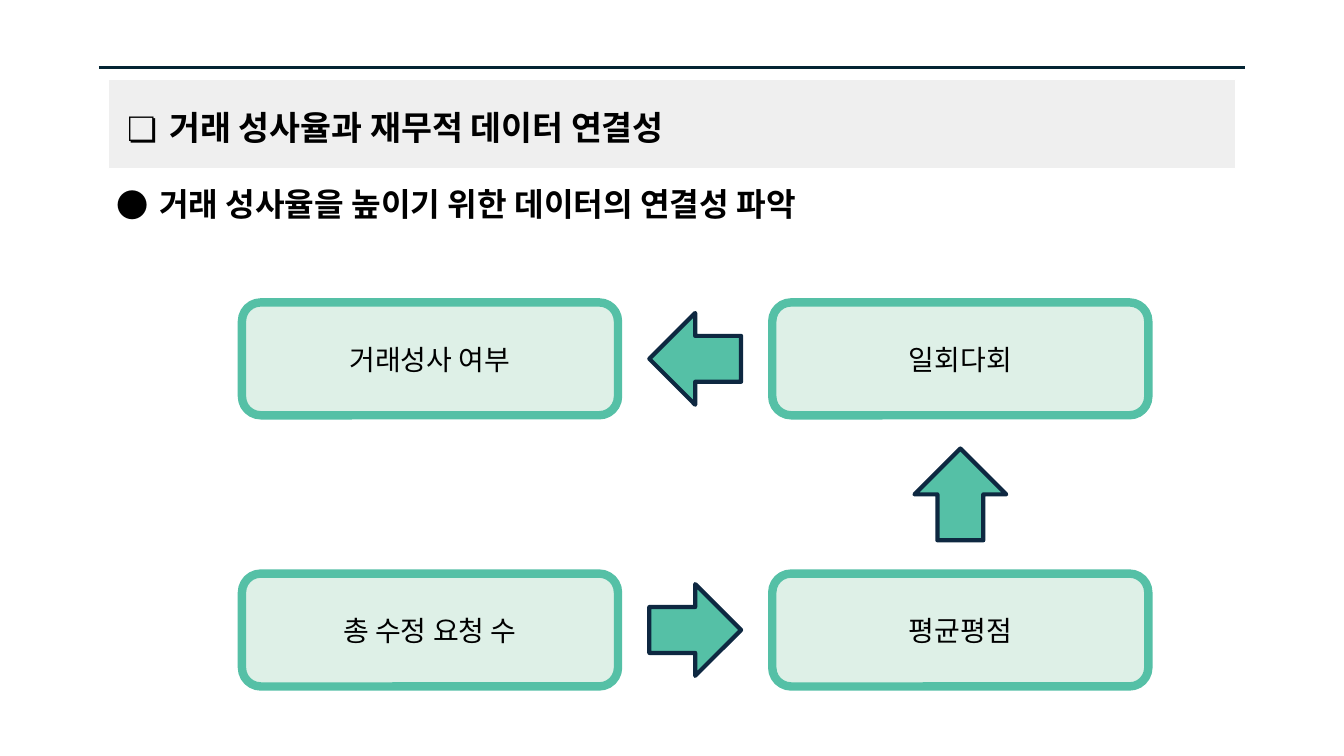
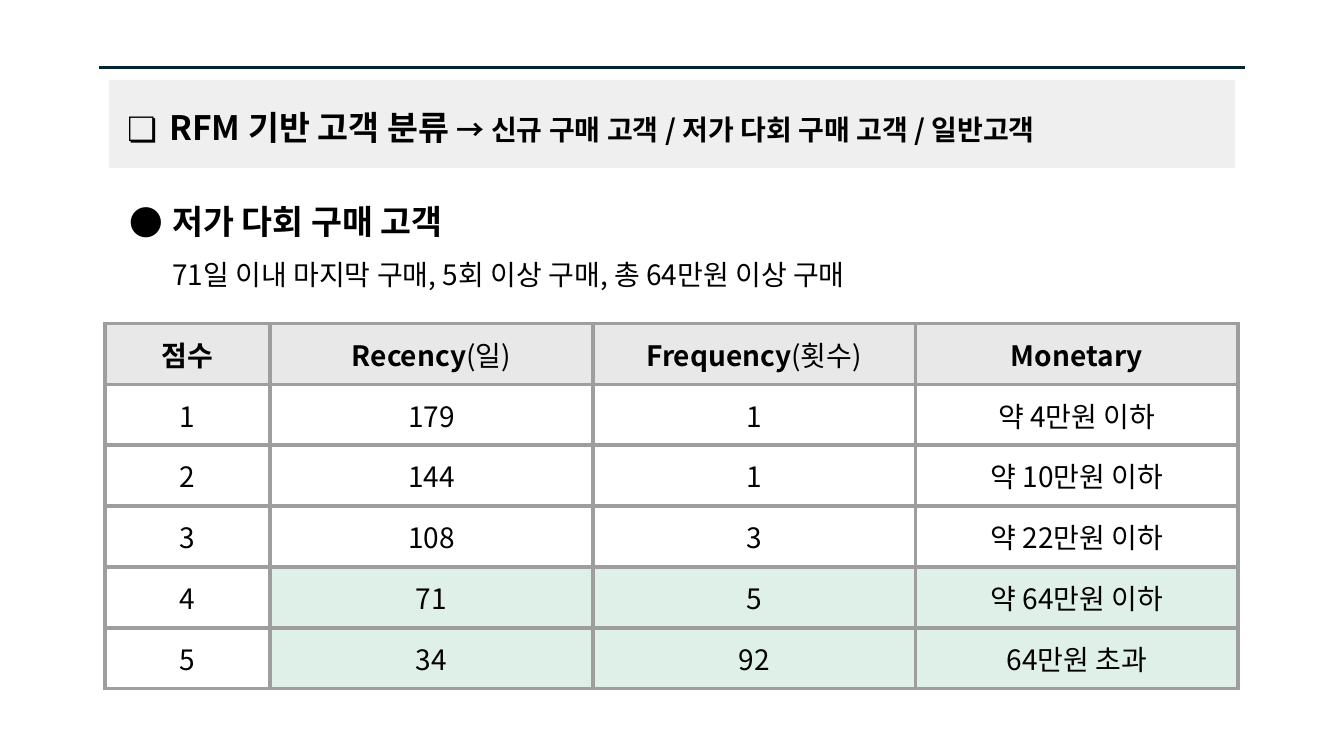
from lxml.etree import SubElement
from pptx import Presentation
from pptx.dml.color import RGBColor
from pptx.enum.shapes import MSO_CONNECTOR, MSO_SHAPE
from pptx.enum.text import MSO_ANCHOR, MSO_AUTO_SIZE, PP_ALIGN
from pptx.oxml.ns import qn
from pptx.util import Inches, Pt

FONT = "Noto Sans CJK KR"
COLORS = {
    "text": "000000",
    "white": "FFFFFF",
    "rule": "042433",
    "band": "EFEFEF",
    "mint": "DEF0E7",
    "green": "55C0A6",
    "navy": "0E2841",
    "header": "E8E8E8",
    "grid": "9E9E9E",
}
INSET = 0.1
TEXT_INDENT, BULLET_HANG = 0.5, 0.42

# Flow chart grid
BOX_W, BOX_H = 3.73, 1.12
COLUMN_X = (2.4, 7.66)
ROW_Y = (3, 5.69)
ARROW = 0.91

SCORES = [
    ("1", "179", "1", "약 4만원 이하"),
    ("2", "144", "1", "약 10만원 이하"),
    ("3", "108", "3", "약 22만원 이하"),
    ("4", "71", "5", "약 64만원 이하"),
    ("5", "34", "92", "64만원 초과"),
]
HEADINGS = [("점수", ""), ("Recency", "(일)"), ("Frequency", "(횟수)"), ("Monetary", "")]
TARGET_SCORES = ("4", "5")


def rgb(name):
    return RGBColor.from_string(COLORS[name])


# Text
def write(paragraph, text, size=20, bold=False, color="text", align=None):
    run = paragraph.add_run()
    run.text = text
    run.font.size = Pt(size)
    run.font.bold = bold
    run.font.color.rgb = rgb(color)
    run.font.name = FONT
    SubElement(run.font._element, qn("a:ea"), typeface=FONT)
    if align is not None:
        paragraph.alignment = align


def indent(paragraph, bullet=None):
    props = paragraph._p.get_or_add_pPr()
    props.set("marL", str(Inches(TEXT_INDENT)))
    props.set("indent", str(-Inches(BULLET_HANG) if bullet else 0))
    if bullet:
        bullet_color = SubElement(props, qn("a:buClr"))
        SubElement(bullet_color, qn("a:srgbClr"), val=COLORS["text"])
        SubElement(props, qn("a:buFont"), typeface=FONT)
        SubElement(props, qn("a:buChar"), char=bullet)


def set_up_frame(frame, inset=INSET, anchor=MSO_ANCHOR.TOP):
    frame.word_wrap = True
    frame.auto_size = MSO_AUTO_SIZE.NONE
    frame.vertical_anchor = anchor
    frame.margin_left = frame.margin_right = Inches(inset)
    frame.margin_top = frame.margin_bottom = Inches(inset)


def add_body(slide, left, top, width, height):
    frame = slide.shapes.add_textbox(*map(Inches, (left, top, width, height))).text_frame
    set_up_frame(frame)
    return frame


# Shapes
def add_block(slide, kind, left, top, width, height, fill, line, line_width):
    block = slide.shapes.add_shape(kind, *map(Inches, (left, top, width, height)))
    block.shadow.inherit = False
    block.fill.solid()
    block.fill.fore_color.rgb = rgb(fill)
    block.line.color.rgb = rgb(line)
    block.line.width = Pt(line_width)
    return block


def add_step(slide, text, column, row):
    step = add_block(slide, MSO_SHAPE.ROUNDED_RECTANGLE, COLUMN_X[column], ROW_Y[row],
                     BOX_W, BOX_H, "mint", "green", 6)
    set_up_frame(step.text_frame, 0.12, MSO_ANCHOR.MIDDLE)
    write(step.text_frame.paragraphs[0], text, align=PP_ALIGN.CENTER)


def add_arrow(slide, kind, center_x, center_y):
    add_block(slide, kind, center_x - ARROW / 2, center_y - ARROW / 2,
              ARROW, ARROW, "green", "navy", 3)


# Shared frame: rule, band and title
def add_titled_slide(deck, title, suffix=""):
    slide = deck.slides.add_slide(deck.slide_layouts[5])
    rule = slide.shapes.add_connector(
        MSO_CONNECTOR.STRAIGHT, *map(Inches, (0.98, 0.67, 12.35, 0.67)))
    rule.line.color.rgb = rgb("rule")
    rule.line.width = Pt(1.5)
    SubElement(rule._element.spPr, qn("a:effectLst"))
    band = add_block(slide, MSO_SHAPE.RECTANGLE, 1.08, 0.79, 11.17, 0.88,
                     "band", "white", 0.75)

    heading = slide.shapes.title
    heading._element.addprevious(band._element)  # the band lies behind the title
    heading.left, heading.top = Inches(1.08), Inches(0.96)
    heading.width, heading.height = Inches(10.69), Inches(0.54)
    set_up_frame(heading.text_frame)
    paragraph = heading.text_frame.paragraphs[0]
    indent(paragraph, "❏")
    paragraph.line_spacing = 1.0
    write(paragraph, title, size=24, bold=True, align=PP_ALIGN.LEFT)
    if suffix:
        write(paragraph, suffix, bold=True)
    return slide


# Table
def format_cell(cell, fill):
    cell.margin_left = cell.margin_right = Inches(INSET)
    cell.margin_top = cell.margin_bottom = Inches(INSET)
    props = cell._tc.get_or_add_tcPr()
    for side in ("lnL", "lnR", "lnT", "lnB"):
        border = SubElement(props, qn(f"a:{side}"), w=str(Pt(3)))
        solid = SubElement(border, qn("a:solidFill"))
        SubElement(solid, qn("a:srgbClr"), val=COLORS["grid"])
    cell.fill.solid()
    cell.fill.fore_color.rgb = rgb(fill)


def add_score_table(slide):
    widths, row_height = (1.64, 3.2, 3.2, 3.2), 0.6
    row_count = len(SCORES) + 1
    table = slide.shapes.add_table(
        row_count, len(widths),
        *map(Inches, (1.04, 3.21, sum(widths), row_count * row_height))).table
    table.horz_banding = False
    for column, width in zip(table.columns, widths):
        column.width = Inches(width)

    for cell, (name, unit) in zip(table.rows[0].cells, HEADINGS):
        format_cell(cell, "header")
        paragraph = cell.text_frame.paragraphs[0]
        write(paragraph, name, bold=True, align=PP_ALIGN.CENTER)
        if unit:
            write(paragraph, unit)

    for row, values in enumerate(SCORES, start=1):
        for column, value in enumerate(values):
            cell = table.cell(row, column)
            is_target = column > 0 and values[0] in TARGET_SCORES
            format_cell(cell, "mint" if is_target else "white")
            write(cell.text_frame.paragraphs[0], value, align=PP_ALIGN.CENTER)


# Slides
def build_connection_slide(deck):
    slide = add_titled_slide(deck, "거래 성사율과 재무적 데이터 연결성")
    for text, column, row in (("거래성사 여부", 0, 0), ("일회다회", 1, 0),
                              ("평균평점", 1, 1), ("총 수정 요청 수", 0, 1)):
        add_step(slide, text, column, row)

    gap_x = (COLUMN_X[0] + BOX_W + COLUMN_X[1]) / 2
    gap_y = (ROW_Y[0] + BOX_H + ROW_Y[1]) / 2
    top_y, bottom_y = (y + BOX_H / 2 for y in ROW_Y)
    add_arrow(slide, MSO_SHAPE.LEFT_ARROW, gap_x, top_y)
    add_arrow(slide, MSO_SHAPE.RIGHT_ARROW, gap_x, bottom_y)
    add_arrow(slide, MSO_SHAPE.UP_ARROW, COLUMN_X[1] + BOX_W / 2, gap_y)

    purpose = add_body(slide, 0.98, 1.73, 8.72, 0.88).paragraphs[0]
    indent(purpose, "●")
    write(purpose, "거래 성사율을 높이기 위한 데이터의 연결성 파악", size=23, bold=True)


def build_segment_slide(deck):
    slide = add_titled_slide(deck, "RFM 기반 고객 분류 ",
                             "→ 신규 구매 고객 / 저가 다회 구매 고객 / 일반고객")
    add_score_table(slide)

    body = add_body(slide, 1.11, 1.69, 11.11, 1.14)
    segment, criteria = body.paragraphs[0], body.add_paragraph()
    indent(segment, "●")
    indent(criteria)
    segment.line_spacing = criteria.line_spacing = 1.5
    write(segment, "저가 다회 구매 고객", size=24, bold=True)
    write(criteria, "71일 이내 마지막 구매, 5회 이상 구매, 총 64만원 이상 구매")


def main():
    deck = Presentation()
    deck.slide_width, deck.slide_height = Inches(13.33), Inches(7.5)
    build_connection_slide(deck)
    build_segment_slide(deck)
    deck.save("out.pptx")


if __name__ == "__main__":
    main()
